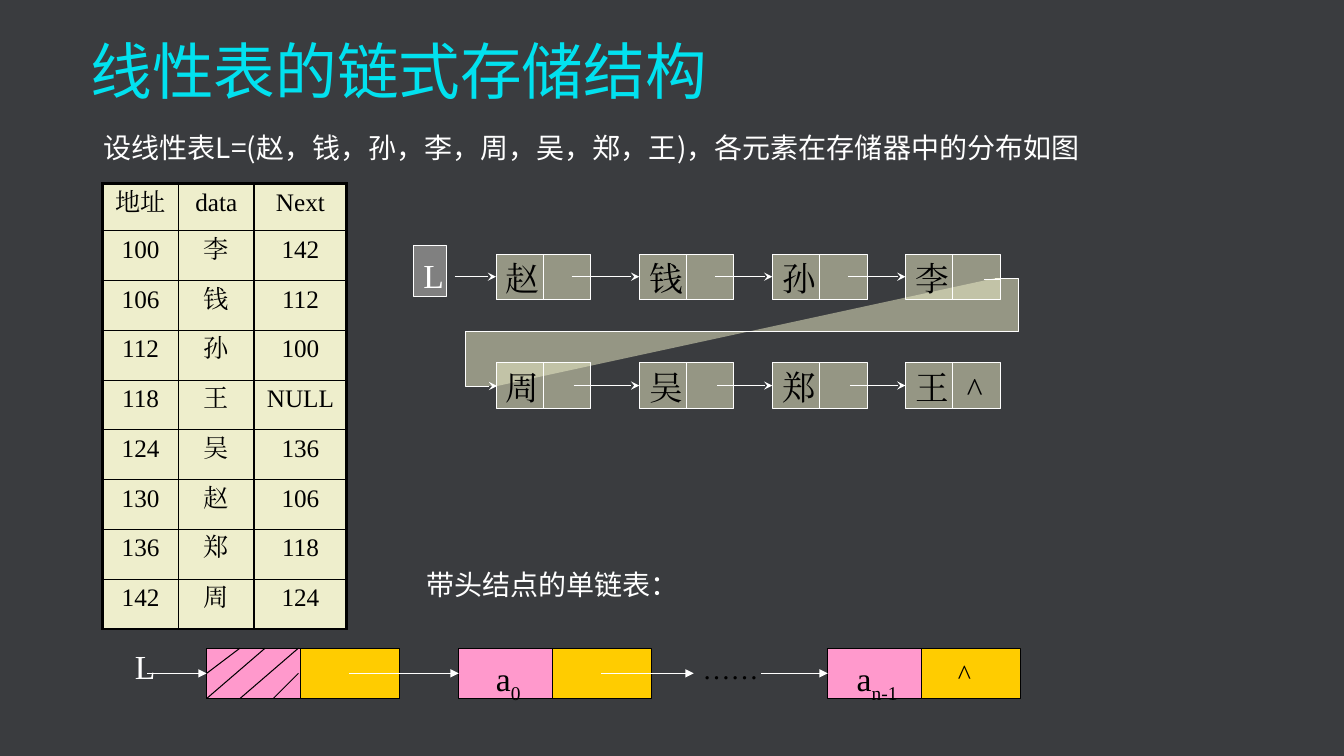
from dataclasses import dataclass

from pptx import Presentation
from pptx.dml.color import RGBColor
from pptx.enum.shapes import MSO_CONNECTOR, MSO_SHAPE
from pptx.enum.text import MSO_ANCHOR, PP_ALIGN
from pptx.oxml.ns import qn
from pptx.util import Inches, Pt
from lxml.etree import SubElement

SANS, SERIF = "Noto Sans CJK SC", "Times New Roman"
WHITE, BLACK, CYAN, GREY = "FFFFFF", "000000", "01E1EF", "808080"
CREAM, SAND, PINK, GOLD = "EEEECC", "F0F0CA", "FF99CC", "FFCC00"


@dataclass
class Label:
    text: str
    x: float
    y: float
    w: float
    h: float
    size: int
    color: str = WHITE
    font: str = SANS


@dataclass
class Row:
    names: str
    y: float
    link_dx: float


@dataclass
class HeadNode:
    x: float
    text: str = ""
    sub: str = ""
    end_mark: str = ""


def rgb(color: str) -> RGBColor:
    return RGBColor.from_string(color)


def style_run(r, size: int, color: str, font: str) -> None:
    r.font.size = Pt(size)
    r.font.name = font
    r.font.color.rgb = rgb(color)
    SubElement(r._r.get_or_add_rPr(), qn("a:ea"), typeface=font)


def write(sp, text: str, size: int, color: str, font: str = SERIF,
          left: float = 0.1, top: float = 0.05, align=PP_ALIGN.LEFT):
    tf = sp.text_frame
    tf.word_wrap = True
    tf.vertical_anchor = MSO_ANCHOR.TOP
    tf.margin_left, tf.margin_top = Inches(left), Inches(top)
    tf.text = text
    p = tf.paragraphs[0]
    p.alignment = align
    style_run(p.runs[0], size, color, font)
    return p


def paint(sp, fill: str, line: str, opacity: int = 100) -> None:
    sp.shadow.inherit = False
    sp.fill.solid()
    sp.fill.fore_color.rgb = rgb(fill)
    if opacity < 100:
        color = sp._element.spPr.find(qn("a:solidFill"))[0]
        SubElement(color, qn("a:alpha"), val=str(opacity * 1000))
    sp.line.color.rgb = rgb(line)
    sp.line.width = Pt(0.75)


def add_tail(sp, kind: str) -> None:
    SubElement(sp._element.spPr.find(qn("a:ln")), qn("a:tailEnd"), type=kind)


def add_box(s, x: float, y: float, w: float, h: float, fill: str,
            line: str, opacity: int = 100):
    sp = s.shapes.add_shape(MSO_SHAPE.RECTANGLE, Inches(x), Inches(y), Inches(w), Inches(h))
    paint(sp, fill, line, opacity)
    return sp


def add_line(s, x1: float, y1: float, x2: float, y2: float,
             color: str = WHITE, tail: str = "", target=None) -> None:
    cxn = s.shapes.add_connector(MSO_CONNECTOR.STRAIGHT, Inches(x1), Inches(y1),
                                 Inches(x2), Inches(y2))
    cxn.line.color.rgb = rgb(color)
    cxn.line.width = Pt(0.75)
    if tail:
        add_tail(cxn, tail)
    SubElement(cxn._element.spPr, qn("a:effectLst"))
    if target is not None:
        cxn.end_connect(target, 1)


def add_label(s, label: Label) -> None:
    sp = s.shapes.add_textbox(Inches(label.x), Inches(label.y), Inches(label.w), Inches(label.h))
    write(sp, label.text, label.size, label.color, label.font)


def add_border(cell, side: str, width: float) -> None:
    ln = SubElement(cell._tc.get_or_add_tcPr(), qn(f"a:ln{side}"), w=str(Pt(width)))
    SubElement(SubElement(ln, qn("a:solidFill")), qn("a:srgbClr"), val=BLACK)


def add_memory_table(s, rows: list[tuple[str, str, str]]) -> None:
    widths, head_h, total_h = (0.75, 0.75, 0.92), 0.47, 4.42
    frame = s.shapes.add_table(len(rows), len(widths), Inches(1.02), Inches(1.82),
                               Inches(sum(widths)), Inches(total_h))
    table = frame.table
    table.first_row = table.horz_banding = False
    for col, w in zip(table.columns, widths):
        col.width = Inches(w)
    last_row, last_col = len(rows) - 1, len(widths) - 1
    for i, values in enumerate(rows):
        table.rows[i].height = Inches((total_h - head_h) / last_row if i else head_h)
        for j, value in enumerate(values):
            cell = table.cell(i, j)
            outer = {"L": j == 0, "R": j == last_col, "T": i == 0, "B": i == last_row}
            for side, is_outer in outer.items():
                add_border(cell, side, 2.25 if is_outer else 1)
            cell.fill.solid()
            cell.fill.fore_color.rgb = rgb(CREAM)
            cell.text_frame.text = value
            p = cell.text_frame.paragraphs[0]
            p.alignment = PP_ALIGN.CENTER
            style_run(p.runs[0], 18, BLACK, SERIF)


def add_wrap_path(s, points: list[tuple[float, float]]) -> None:
    (x, y), *rest = [(Inches(px), Inches(py)) for px, py in points]
    builder = s.shapes.build_freeform(x, y)
    builder.add_line_segments(rest, close=False)
    sp = builder.convert_to_shape()
    paint(sp, SAND, WHITE, 50)
    add_tail(sp, "stealth")


def add_chain(s, row: Row, w: float = 0.47, h: float = 0.45) -> None:
    mid = row.y + h / 2
    for i, name in enumerate(row.names):
        x = (4.92, 6.34, 7.66, 8.98)[i]
        data = add_box(s, x, row.y, w, h, SAND, WHITE, 50)
        write(data, name, 24, BLACK, top=0.04)
        link = add_box(s, x + w, row.y, w, h, SAND, WHITE, 50)
        if name == "王":
            write(link, "^", 24, BLACK, left=0.14)
        if i:
            add_line(s, prev_x + row.link_dx, mid, x, mid, tail="stealth", target=data)
        elif name == "赵":
            add_line(s, 4.51, mid, x, mid, tail="stealth", target=data)
        prev_x = x


def add_head_node(s, node: HeadNode, y: float = 6.43):
    data = add_box(s, node.x, y, 0.98, 0.5, PINK, BLACK)
    link = add_box(s, node.x + 0.93, y, 0.98, 0.5, GOLD, BLACK)
    if node.text:
        p = write(data, node.text, 24, BLACK, top=0.1, align=PP_ALIGN.CENTER)
        r = p.add_run()
        r.text = node.sub
        style_run(r, 24, BLACK, SERIF)
        r._r.get_or_add_rPr().set("baseline", "-25000")
    if node.end_mark:
        write(link, node.end_mark, 20, BLACK, left=0.36, top=0.08)
    return data


def main() -> None:
    prs = Presentation()
    prs.slide_width, prs.slide_height = Inches(13.33), Inches(7.5)
    s = prs.slides.add_slide(prs.slide_layouts[6])
    s.background.fill.solid()
    s.background.fill.fore_color.rgb = rgb("3A3C3F")

    # Title, introduction and memory table
    add_label(s, Label("线性表的链式存储结构", 0.8, 0.28, 11.68, 0.98, 44, CYAN))
    add_label(s, Label("设线性表L=(赵，钱，孙，李，周，吴，郑，王)，各元素在存储器中的分布如图",
                       0.93, 1.25, 11.68, 0.5, 20))
    add_memory_table(s, [
        ("地址", "data", "Next"), ("100", "李", "142"), ("106", "钱", "112"),
        ("112", "孙", "100"), ("118", "王", "NULL"), ("124", "吴", "136"),
        ("130", "赵", "106"), ("136", "郑", "118"), ("142", "周", "124")])

    # Linked list in two rows
    write(add_box(s, 4.1, 2.44, 0.33, 0.5, GREY, WHITE), "L", 24, WHITE, top=0.09)
    add_wrap_path(s, [(9.87, 2.76), (10.1, 2.76), (10.1, 3.29),
                      (4.62, 3.29), (4.62, 3.83), (4.93, 3.83)])
    for row in (Row("赵钱孙李", 2.52, 0.75), Row("周吴郑王", 3.6, 0.77)):
        add_chain(s, row)
    add_line(s, 9.76, 2.77, 9.93, 2.77)

    # Singly linked list with a head node
    add_label(s, Label("带头结点的单链表：", 4.13, 5.58, 3, 0.5, 20))
    head, first, last = [add_head_node(s, node) for node in (
        HeadNode(2.05), HeadNode(4.55, "a", "0"), HeadNode(8.21, "a", "n-1", "^"))]
    for x1, x2, target in ((1.46, 2.05, head), (3.46, 4.55, first),
                           (5.96, 6.88, None), (7.55, 8.21, last)):
        add_line(s, x1, 6.68, x2, 6.68, tail="triangle", target=target)
    for x1, y1, x2, y2 in ((2.38, 6.43, 2.05, 6.68), (2.96, 6.43, 2.38, 6.93),
                           (2.63, 6.43, 2.05, 6.93), (2.96, 6.68, 2.71, 6.93)):
        add_line(s, x1, y1, x2, y2, BLACK)
    add_label(s, Label("L", 1.24, 6.36, 0.5, 0.5, 24, font=SERIF))
    add_label(s, Label("……", 6.87, 6.41, 0.8, 0.45, 20, BLACK, SERIF))

    prs.save("out.pptx")


if __name__ == "__main__":
    main()
